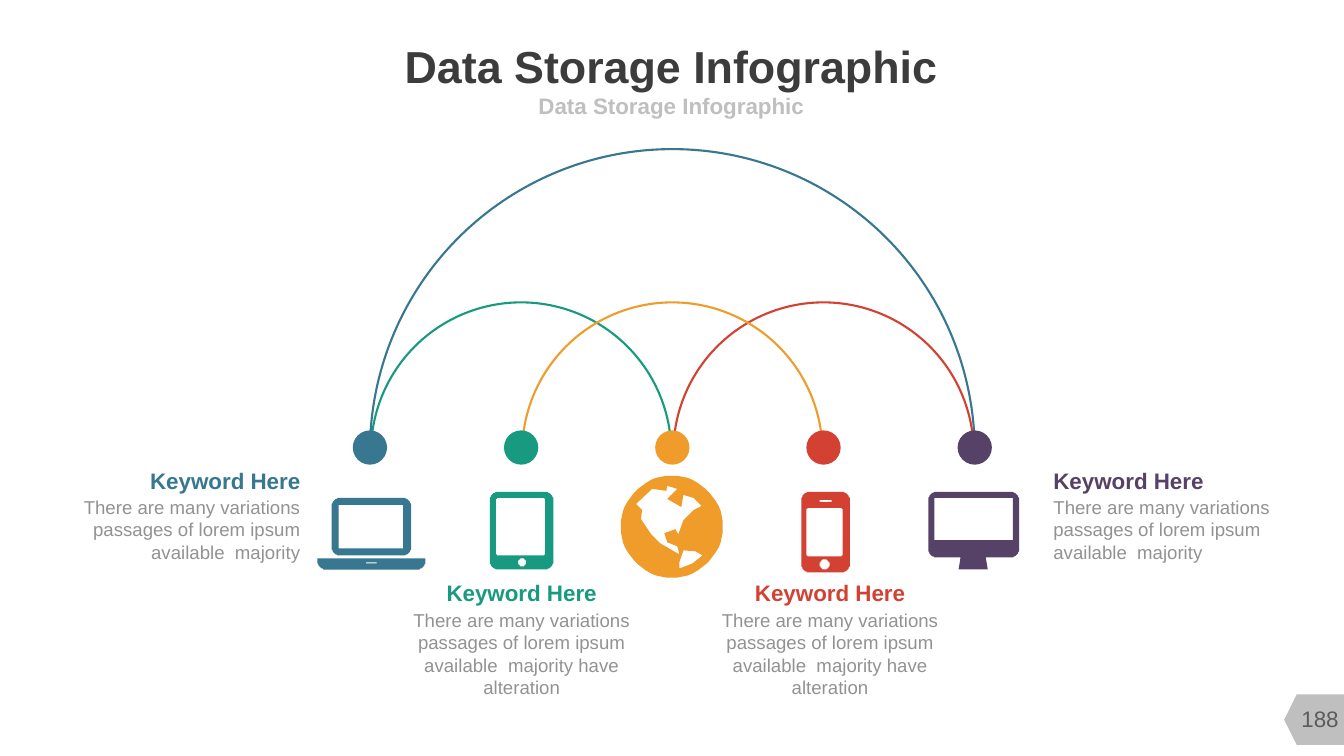
import math

import pptx
import pptx.dml.color
import pptx.enum.shapes
import pptx.enum.text
import pptx.oxml
import pptx.util

CELL = pptx.util.Inches(0.1)
ALIGN = pptx.enum.text.PP_ALIGN
ANCHOR = pptx.enum.text.MSO_ANCHOR
SHAPE = pptx.enum.shapes.MSO_SHAPE
COLORS = {
    "blue": "377790", "green": "189A80", "orange": "F09C2A", "red": "D24132",
    "purple": "564266", "title": "3C3C3C", "pale": "BFBFBF", "body": "929292",
    "number": "5C5C5C",
}
STOPS = ["blue", "green", "orange", "red", "purple"]
STOP_GAP = 15
SHARE = {ALIGN.LEFT: 0, ALIGN.CENTER: 0.5, ALIGN.RIGHT: 1}
SHORT_TEXT = "There are many variations passages of lorem ipsum available  majority"
LONG_TEXT = SHORT_TEXT + " have alteration"

NORTH_AMERICA = [
    (80, 30), (72, 22), (62, 19), (60, 31), (46, 23), (56, 13), (46, 10), (45, 15),
    (31, 13), (15, 28), (21, 34), (20, 43), (30, 58), (39, 67), (58, 78), (56, 70),
    (46, 66), (43, 57), (54, 53), (57, 58), (62, 44), (72, 34),
]
SOUTH_AMERICA = [(81, 79), (74, 75), (62, 74), (58, 86), (58, 92), (71, 87)]


def rounded(left, top, right, bottom, radius, top_radius=None):
    """Return the outline points of a rectangle with rounded corners."""
    upper = radius if top_radius is None else top_radius
    corners = [
        (right - radius, bottom - radius, radius),
        (left + radius, bottom - radius, radius),
        (left + upper, top + upper, upper),
        (right - upper, top + upper, upper),
    ]
    return [
        (x + size * math.cos(math.radians(90 * quarter + turn)),
         y + size * math.sin(math.radians(90 * quarter + turn)))
        for quarter, (x, y, size) in enumerate(corners)
        for turn in range(0, 91, 6)
    ]


ICONS = [
    (-5.2, 34.6, [rounded(0, 60, 107, 71, 8, top_radius=0), rounded(14, 0, 93, 57, 8),
                  rounded(21, 7, 85, 50, 1), rounded(48, 64, 59, 65, 0.5)]),
    (-3.1, 34, [rounded(0, 0, 63, 77, 8), rounded(6, 6, 55, 63, 2), rounded(28, 66, 36, 74, 4)]),
    (-5.1, 32.4, [rounded(0, 0, 101, 101, 50.5), NORTH_AMERICA, SOUTH_AMERICA]),
    (-2.2, 34, [rounded(0, 0, 48, 80, 8), rounded(5, 16, 41, 64, 2),
                rounded(18, 8, 30, 10, 1), rounded(18, 67, 28, 77, 5)]),
    (-4.6, 34, [rounded(0, 0, 90, 65, 8), rounded(6, 6, 84, 48, 1),
                [(57, 65), (59, 77), (30, 77), (32, 65)]]),
]


def cells(*lengths):
    """Turn grid cells into slide lengths."""
    return [round(length * CELL) for length in lengths]


def color(name):
    """Look up a colour by name."""
    return pptx.dml.color.RGBColor.from_string(COLORS[name])


def fill_plain(shape, name):
    """Give a shape a flat fill without line or shadow."""
    shape.shadow.inherit = False
    shape.fill.solid()
    shape.fill.fore_color.rgb = color(name)
    shape.line.fill.background()


def write(shape, text, size, ink, bold=False, align=ALIGN.CENTER, wrap=True, anchor=ANCHOR.TOP):
    """Write one formatted paragraph into a shape."""
    frame = shape.text_frame
    frame.auto_size = pptx.enum.text.MSO_AUTO_SIZE.NONE
    frame.word_wrap = wrap
    frame.vertical_anchor = anchor
    frame.margin_left = frame.margin_top = frame.margin_right = frame.margin_bottom = 0
    para = frame.paragraphs[0]
    para.alignment = align
    para.space_before = pptx.util.Pt(0)
    span = para.add_run()
    span.text = text
    span.font.name = "Arial"
    span.font.size = pptx.util.Pt(size)
    span.font.bold = bold
    span.font.color.rgb = color(ink)


def add_heading(page, left, top, width):
    """Fill the title and the subtitle placeholders."""
    title, subtitle = page.shapes.title, page.placeholders[1]
    title.left, title.top, title.width, title.height = cells(left, top, width, 5.2)
    write(title, "Data Storage Infographic", 32, "title", bold=True, wrap=False,
          anchor=ANCHOR.MIDDLE)
    subtitle.left, subtitle.top, subtitle.width, subtitle.height = cells(
        left + (width - 60) / 2, top + 5.1, 60, 2.9)
    write(subtitle, "Data Storage Infographic", 16, "pale", bold=True, anchor=ANCHOR.MIDDLE)
    properties = subtitle.text_frame.paragraphs[0]._p.get_or_add_pPr()
    properties.set("marL", "0")
    properties.set("indent", "0")
    properties.append(pptx.oxml.parse_xml(
        '<a:buNone xmlns:a="http://schemas.openxmlformats.org/drawingml/2006/main"/>'))


def add_arc(page, center, top, diameter, name):
    """Draw the upper half of a circle."""
    arc = page.shapes.add_shape(
        SHAPE.ARC, *cells(center - diameter / 2, top, diameter, diameter))
    arc.adjustments[0] = 107.37
    arc.adjustments[1] = 0
    arc.shadow.inherit = False
    arc.fill.background()
    arc.line.color.rgb = color(name)
    arc.line.width = pptx.util.Pt(1.5)


def add_icon(page, left, top, outlines, name):
    """Draw an icon from closed outlines given in tenths of a cell."""
    builder = page.shapes.build_freeform(*outlines[0][0], scale=CELL / 10)
    builder.add_line_segments(outlines[0][1:], close=True)
    for outline in outlines[1:]:
        builder.move_to(*outline[0])
        builder.add_line_segments(outline[1:], close=True)
    fill_plain(builder.convert_to_shape(*cells(left, top)), name)


def add_diagram(page, left, top, width):
    """Draw the arcs, the icons and the dots they meet at."""
    centers = [left + STOP_GAP * index for index in range(len(STOPS))]
    add_arc(page, left + width / 2, top, width, "blue")
    for index in (3, 1, 2):
        add_arc(page, centers[index], top + 15.2, 29.8, STOPS[index])
    for center, name, (shift, drop, outlines) in zip(centers, STOPS, ICONS):
        add_icon(page, center + shift, top + drop, outlines, name)
    for center, name in zip(centers, STOPS):
        dot = page.shapes.add_shape(SHAPE.OVAL, *cells(center - 1.7, top + 27.9, 3.4, 3.4))
        fill_plain(dot, name)


def add_label(page, left, top, width, height, text, name, align):
    """Add a keyword with its description below."""
    keyword = page.shapes.add_textbox(
        *cells(left + (width - 15.1) * SHARE[align], top, 15.1, 2.7))
    write(keyword, "Keyword Here", 16, name, bold=True, align=align, wrap=False)
    description = page.shapes.add_textbox(*cells(left, top + 2.9, width, height - 2.9))
    write(description, text, 13.3, "body", align=align)


def add_page_number(page, left, top):
    """Add the page number on its pointed tag."""
    tag = page.shapes.add_shape(SHAPE.FLOWCHART_OFFPAGE_CONNECTOR, *cells(left, top, 5, 6.2))
    tag.rotation = 90
    fill_plain(tag, "pale")
    number = page.shapes.add_textbox(*cells(left - 0.4, top + 1, 6.7, 4))
    write(number, "188", 16, "number", anchor=ANCHOR.MIDDLE)


def main():
    """Build the deck and save it."""
    deck = pptx.Presentation()
    deck.slide_width, deck.slide_height = cells(133.33, 75)
    page = deck.slides.add_slide(deck.slide_layouts[1])
    add_page_number(page, 128, 68.3)
    add_heading(page, 25.5, 3.9, 82.2)
    add_diagram(page, 36.7, 14.8, 60)
    for left, name in ((70.3, "red"), (39.7, "green")):
        add_label(page, left, 57.5, 24.1, 11.9, LONG_TEXT, name, ALIGN.CENTER)
    for left, name, align in ((7, "blue", ALIGN.RIGHT), (104.5, "purple", ALIGN.LEFT)):
        add_label(page, left, 46.3, 22.8, 9.6, SHORT_TEXT, name, align)
    deck.save("out.pptx")


if __name__ == "__main__":
    main()
